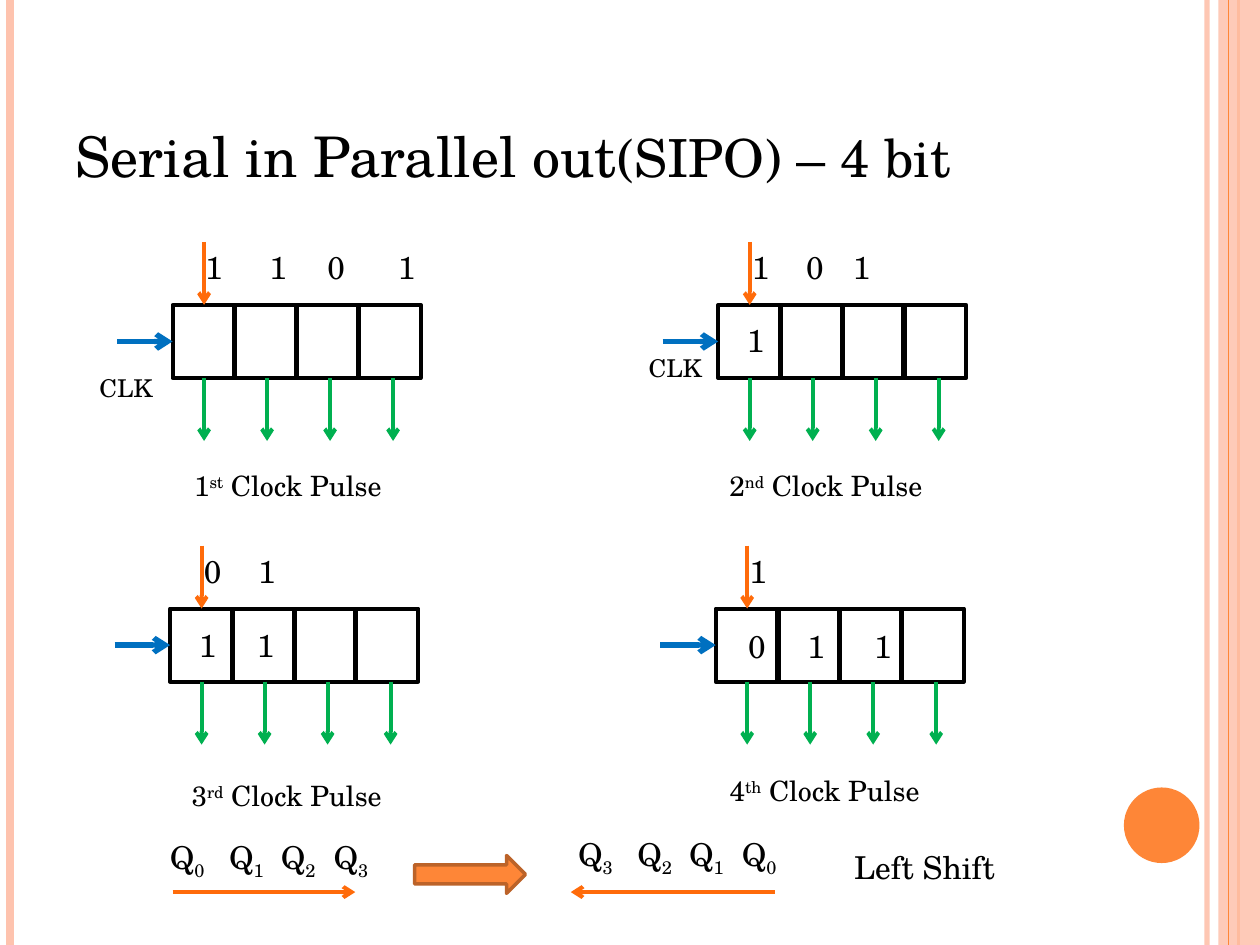
import dataclasses

import lxml.etree
import pptx
import pptx.dml.color
import pptx.enum.shapes
import pptx.enum.text
import pptx.oxml.ns
import pptx.util

PX = 9144  # EMU per px, 100 px to the inch
SHAPES = pptx.enum.shapes.MSO_SHAPE
ALIGN = pptx.enum.text.PP_ALIGN
TOP, LEFT, BOTTOM = 0, 1, 2  # connection sites of a rectangle


@dataclasses.dataclass(frozen=True)
class Theme:
    font: str = "TeX Gyre Schola"
    ink: str = "000000"
    peach: str = "FEC3AE"
    orange: str = "FE8637"
    orange_edge: str = "BC6329"
    serial: str = "FF6B0A"
    clock: str = "0070C0"
    output: str = "00B050"
    title: int = 32
    title_tail: int = 30
    body: int = 18
    caption: int = 16
    label: int = 14


def rgb(value):
    return pptx.dml.color.RGBColor.from_string(value)


def set_alpha(fill_parent, percent):
    color = fill_parent.find(".//" + pptx.oxml.ns.qn("a:srgbClr"))
    alpha = lxml.etree.SubElement(color, pptx.oxml.ns.qn("a:alpha"))
    alpha.set("val", str(percent * 1000))


class Sketch:
    def __init__(self, page, theme):
        self.page = page
        self.theme = theme

    def add_spans(self, para, spans):
        """Each span is (text, size, baseline in percent)."""
        for text, size, baseline in spans:
            span = para.add_run()
            span.text = text
            span.font.name = self.theme.font
            span.font.size = pptx.util.Pt(size)
            span.font.color.rgb = rgb(self.theme.ink)
            if baseline:
                span.font._element.set("baseline", str(baseline * 1000))

    def title(self, x, y, w, h, spans):
        box = self.page.shapes.title
        box.left, box.top, box.width, box.height = x * PX, y * PX, w * PX, h * PX
        frame = box.text_frame
        frame.auto_size = pptx.enum.text.MSO_AUTO_SIZE.NONE
        frame.vertical_anchor = pptx.enum.text.MSO_ANCHOR.BOTTOM
        frame.paragraphs[0].alignment = ALIGN.LEFT
        self.add_spans(frame.paragraphs[0], spans)

    def text(self, x, y, w, h, spans, align=ALIGN.LEFT):
        box = self.page.shapes.add_textbox(x * PX, y * PX, w * PX, h * PX)
        frame = box.text_frame
        frame.word_wrap = True
        frame.auto_size = pptx.enum.text.MSO_AUTO_SIZE.SHAPE_TO_FIT_TEXT
        frame.paragraphs[0].alignment = align
        self.add_spans(frame.paragraphs[0], spans)

    def shape(self, kind, x, y, w, h, fill=None, line=None, weight=2.25, alpha=None):
        shape = self.page.shapes.add_shape(kind, x * PX, y * PX, w * PX, h * PX)
        shape.shadow.inherit = False
        if fill:
            shape.fill.solid()
            shape.fill.fore_color.rgb = rgb(fill)
            if alpha:
                set_alpha(shape._element.spPr, alpha)
        else:
            shape.fill.background()
        if line:
            shape.line.color.rgb = rgb(line)
            shape.line.width = pptx.util.Pt(weight)
        else:
            shape.line.fill.background()
        return shape

    def line(self, x1, y1, x2, y2, color, weight=2.25, alpha=None):
        line = self.page.shapes.add_connector(
            pptx.enum.shapes.MSO_CONNECTOR.STRAIGHT, x1 * PX, y1 * PX, x2 * PX, y2 * PX)
        line.line.color.rgb = rgb(color)
        line.line.width = pptx.util.Pt(weight)
        properties = line._element.spPr
        if alpha:
            set_alpha(properties, alpha)
        lxml.etree.SubElement(properties, pptx.oxml.ns.qn("a:effectLst"))
        return line

    def arrow(self, x1, y1, x2, y2, color, weight=2.25, start=None, end=None):
        """start and end are (shape, connection site)."""
        arrow = self.line(x1, y1, x2, y2, color, weight)
        outline = arrow.line._get_or_add_ln()
        lxml.etree.SubElement(outline, pptx.oxml.ns.qn("a:tailEnd")).set("type", "arrow")
        if start:
            arrow.begin_connect(*start)
        if end:
            arrow.end_connect(*end)

    def digits(self, x, y, items):
        for digit, offset in items:
            self.text(x + offset, y, 30, 40, [(digit, self.theme.body, 0)])

    def register(self, x, y, waiting, stored, stored_drop, clock_label, pulse, caption_at):
        theme = self.theme
        cell_w, pitch, cell_h, reach = 50, 49, 58, 50
        cells = [self.shape(SHAPES.RECTANGLE, x + i * pitch, y, cell_w, cell_h, line=theme.ink)
                 for i in range(4)]
        first, middle, bottom = cells[0], x + cell_w // 2, y + cell_h
        # Serial input, clock and parallel outputs
        self.arrow(middle, y - reach, middle, y, theme.serial, end=(first, TOP))
        self.arrow(x - 44, y + cell_h // 2, x, y + cell_h // 2, theme.clock, 3, end=(first, LEFT))
        for i in range(4):
            out = middle + i * 50
            self.arrow(out, bottom, out, bottom + reach, theme.output,
                       start=(first, BOTTOM) if i == 0 else None)
        # Bits and labels
        self.digits(x, y - reach, waiting)
        self.digits(x, y + stored_drop, stored)
        if clock_label:
            dx, dy = clock_label
            self.text(x + dx, y + dy, 65, 34, [("CLK", theme.label, 0)])
        number, suffix = pulse
        dx, dy = caption_at
        self.text(x + dx, y + dy, 255, 37,
                  [(number, theme.caption, 0), (suffix, theme.caption, 30),
                   (" Clock Pulse", theme.caption, 0)], ALIGN.CENTER)

    def output_names(self, x, y, order):
        for index, offset in zip(order, (0, 47, 88, 130)):
            self.text(x + offset, y, 62, 40,
                      [("Q", self.theme.body, 0), (index, self.theme.body, -25)])


def main():
    deck = pptx.Presentation()
    deck.slide_width, deck.slide_height = 1000 * PX, 750 * PX
    page = deck.slides.add_slide(deck.slide_layouts[5])
    theme = Theme()
    sketch = Sketch(page, theme)

    # Side bands and disc
    sketch.line(958, 0, 958, 750, theme.peach, 3, alpha=93)
    sketch.line(8, 0, 8, 750, theme.peach, 4.5)
    sketch.line(983, 0, 983, 750, theme.orange, 1.5)
    sketch.shape(SHAPES.RECTANGLE, 967, 0, 33, 750, fill=theme.peach, alpha=87)
    sketch.line(975, 0, 975, 750, theme.orange, 0.75)
    sketch.shape(SHAPES.OVAL, 892, 625, 60, 60, fill=theme.orange)

    # Title
    sketch.title(50, 30, 817, 125, [("Serial in Parallel out", theme.title, 0),
                                    ("(SIPO) – 4 bit", theme.title_tail, 0)])

    # Register after each clock pulse; bits are (digit, offset from its left side)
    sketch.register(137, 242, [("1", 16), ("1", 67), ("0", 113), ("1", 169)], [], 8,
                    (-68, 49), ("1", "st"), (-36, 125))
    sketch.register(570, 242, [("1", 17), ("0", 60), ("1", 97)], [("1", 13)], 8,
                    (-65, 33), ("2", "nd"), (-42, 125))
    sketch.register(135, 483, [("0", 17), ("1", 60)], [("1", 13), ("1", 59)], 9,
                    None, ("3", "rd"), (-35, 130))
    sketch.register(568, 483, [("1", 17)], [("0", 16), ("1", 63), ("1", 116)], 10,
                    None, ("4", "th"), (-41, 126))

    # Output order and shift direction
    sketch.output_names(125, 660, "0123")
    sketch.output_names(449, 658, "3210")
    sketch.shape(SHAPES.RIGHT_ARROW, 329, 679, 88, 30, theme.orange, theme.orange_edge, 2)
    sketch.arrow(137, 708, 282, 708, theme.serial)
    sketch.arrow(615, 708, 453, 708, theme.serial)
    sketch.text(668, 668, 190, 40, [("Left Shift", theme.body, 0)])

    deck.save("out.pptx")


if __name__ == "__main__":
    main()
